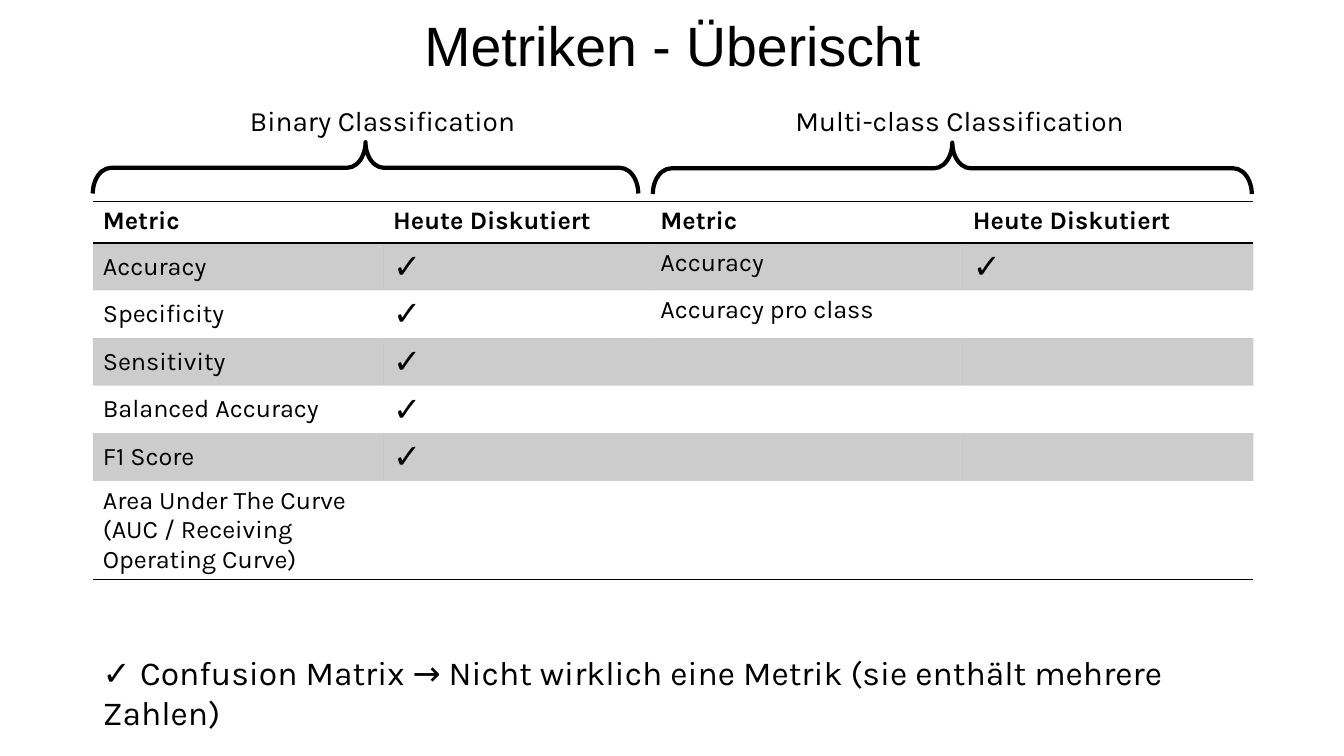
"""Build the overview slide of classification metrics."""
from lxml.etree import SubElement
from pptx import Presentation
from pptx.dml.color import RGBColor
from pptx.enum.shapes import MSO_SHAPE as Shape
from pptx.enum.text import MSO_ANCHOR as Anchor, MSO_AUTO_SIZE as Auto
from pptx.oxml.ns import qn
from pptx.util import Pt

PX = 9144
BLACK = RGBColor(0, 0, 0)
TICK = "✓"
HEAD = ["Metric", "Heute Diskutiert"] * 2
ROWS = [
    HEAD,
    ["Accuracy", TICK, "Accuracy", TICK],
    ["Specificity", TICK, "Accuracy pro class", ""],
    ["Sensitivity", TICK, "", ""],
    ["Balanced Accuracy", TICK, "", ""],
    ["F1 Score", TICK, "", ""],
    ["Area Under The Curve (AUC / Receiving Operating Curve)", "", "", ""],
]
COLS = [288, 265, 310, 288]
ROW_H = 41


def px(*nums):
    """Turn px lengths into EMU."""
    return [num * PX for num in nums]


def style(run, size, face="Karla", bold=False):
    """Format one run in black."""
    font = run.font
    font.size, font.name, font.bold = Pt(size), face, bold
    font.color.rgb = BLACK


def add_title(slide, text):
    """Place and format the title."""
    title = slide.shapes.title
    title.left, title.top, title.width, title.height = px(92, 13, 1150, 70)
    frame = title.text_frame
    frame.text = text
    frame.vertical_anchor = Anchor.MIDDLE
    para = frame.paragraphs[0]
    para.line_spacing = 0.9
    style(para.runs[0], 39.6, "Arial")


def add_text(slide, box, parts):
    """Add a text box from (text, size, face) parts."""
    frame = slide.shapes.add_textbox(*px(*box)).text_frame
    frame.word_wrap = True
    frame.auto_size = Auto.SHAPE_TO_FIT_TEXT
    for text, size, face in parts:
        run = frame.paragraphs[0].add_run()
        run.text = text
        style(run, size, face)


def add_brace(slide, box):
    """Add a brace turned to open downwards."""
    brace = slide.shapes.add_shape(Shape.LEFT_BRACE, *px(*box))
    brace.rotation = 90
    brace.adjustments[0] = 0.358
    brace.shadow.inherit = False
    brace.fill.background()
    brace.line.color.rgb = BLACK
    brace.line.width = Pt(3)


def set_rule(props, side, shown):
    """Show or hide one border of a cell."""
    line = SubElement(props, qn(f"a:ln{side}"), w=str(Pt(1)))
    if shown:
        fill = SubElement(line, qn("a:solidFill"))
        SubElement(fill, qn("a:srgbClr"), val=str(BLACK))
    else:
        SubElement(line, qn("a:noFill"))


def set_fill(cell, props, shade):
    """Shade a cell in thin black or leave it clear."""
    if not shade:
        cell.fill.background()
        return
    cell.fill.solid()
    cell.fill.fore_color.rgb = BLACK
    color = props.find(f".//{qn('a:solidFill')}[last()]/{qn('a:srgbClr')}")
    color = props.find(qn("a:solidFill")).find(qn("a:srgbClr"))
    SubElement(color, qn("a:alpha"), val="20000")


def fill_cell(cell, text, row, col):
    """Write and format one cell."""
    last = len(ROWS) - 1
    props = cell._tc.get_or_add_tcPr()
    rules = {"L": False, "R": False, "T": row in (0, 1), "B": row in (0, last)}
    for side, shown in rules.items():
        set_rule(props, side, shown)
    set_fill(cell, props, row % 2 == 1)
    if row and col == 0:
        cell.vertical_anchor = Anchor.MIDDLE
    cell.text = text
    for run in cell.text_frame.paragraphs[0].runs:
        if text == TICK:
            style(run, 24, "Arial")
        else:
            style(run, 18, bold=row == 0)


def add_grid(slide):
    """Add the table of metrics."""
    box = px(92, 200, sum(COLS), ROW_H * len(ROWS))
    table = slide.shapes.add_table(len(ROWS), len(COLS), *box).table
    table.first_row = table.horz_banding = False
    for col, width in zip(table.columns, COLS):
        col.width = width * PX
    for row, texts in enumerate(ROWS):
        table.rows[row].height = ROW_H * PX
        for col, text in enumerate(texts):
            fill_cell(table.cell(row, col), text, row, col)


def main():
    """Build and save the slide."""
    deck = Presentation()
    deck.slide_width, deck.slide_height = px(1333, 750)
    slide = deck.slides.add_slide(deck.slide_layouts[5])
    add_title(slide, "Metriken - Überischt")
    add_grid(slide)
    note = "Confusion Matrix → Nicht wirklich eine Metrik (sie enthält mehrere Zahlen)"
    add_text(slide, (92, 642, 1169, 50), [(f"{TICK} ", 24, "Arial"), (note, 24, "Karla")])
    for left, text in [(238, "Binary Classification"), (779, "Multi-class Classification")]:
        add_text(slide, (left, 98, 349, 44), [(text, 20, "Karla")])
    for box in [(337, -104, 51, 541), (919, -130, 51, 594)]:
        add_brace(slide, box)
    deck.save("out.pptx")


if __name__ == "__main__":
    main()
